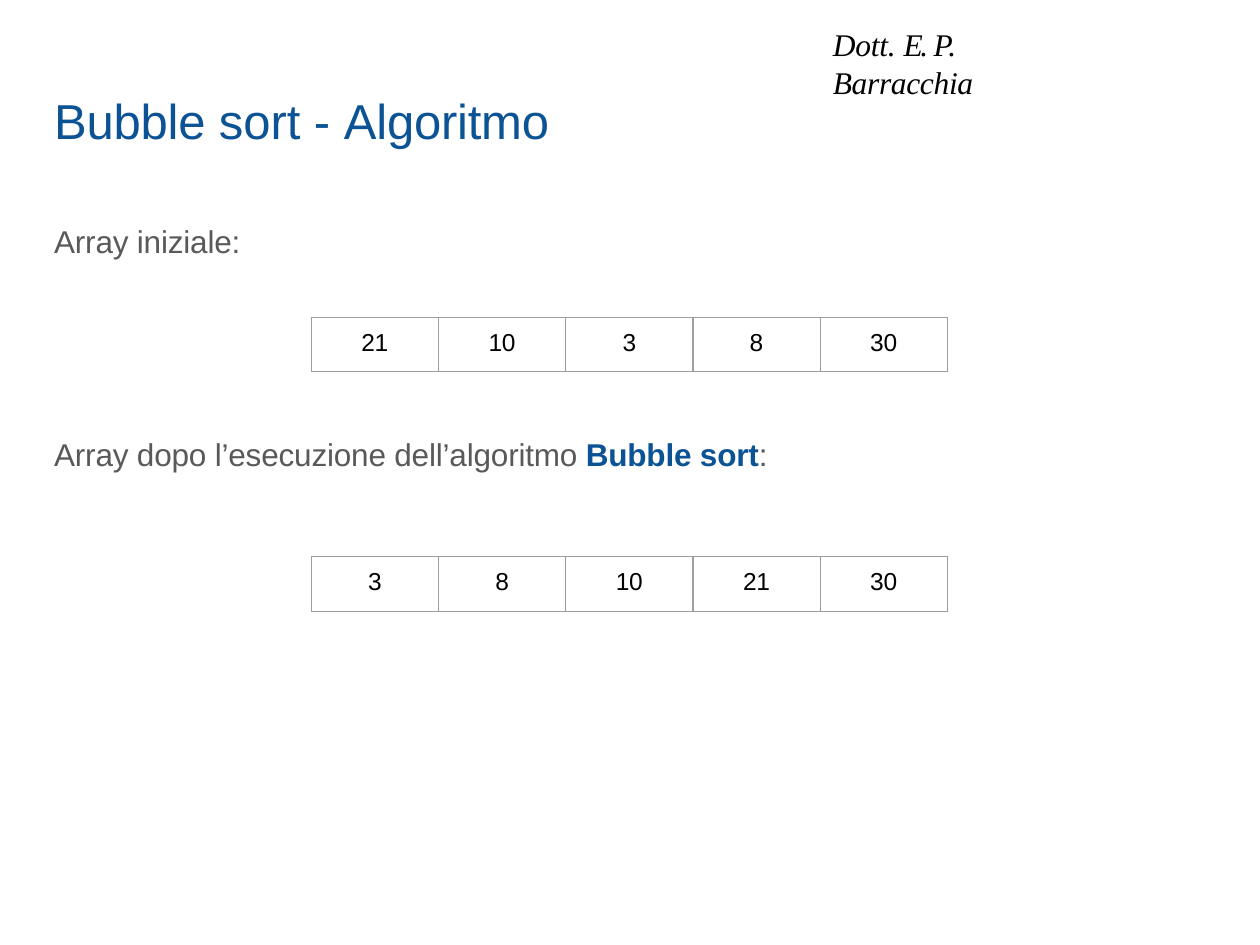
"""Build the slide that shows an array before and after bubble sort."""
import pptx
import pptx.dml.color
import pptx.enum.text
import pptx.oxml
import pptx.oxml.ns
import pptx.util
from pptx.util import Inches

BLUE, GREY, BLACK, BORDER = "0B5394", "595959", "000000", "9E9E9E"


def rgb(value):
    return pptx.dml.color.RGBColor.from_string(value)


class SlideBuilder:
    body = {"name": "Arial", "size": 18, "color": GREY}
    heading = {"name": "Arial", "size": 28, "color": BLUE}
    lecturer = {"name": "Times New Roman", "size": 18, "color": BLACK, "italic": True}
    value = {"name": "Arial", "size": 14, "color": BLACK}

    def __init__(self, slide):
        self.slide = slide

    def format_run(self, run, style, tracking):
        for key, setting in style.items():
            if key == "color":
                run.font.color.rgb = rgb(setting)
            elif key == "size":
                run.font.size = pptx.util.Pt(setting)
            else:
                setattr(run.font, key, setting)
        run._r.get_or_add_rPr().set("spc", str(round(tracking * 100)))

    def fill_text(self, frame, parts, style, indent=0.01):
        settings = {
            "word_wrap": True,
            "auto_size": pptx.enum.text.MSO_AUTO_SIZE.SHAPE_TO_FIT_TEXT,
            "vertical_anchor": pptx.enum.text.MSO_ANCHOR.TOP,
            "margin_left": 0,
            "margin_top": Inches(0.01),
            "margin_right": 0,
            "margin_bottom": 0,
        }
        for key, setting in settings.items():
            setattr(frame, key, setting)
        paragraph = frame.paragraphs[0]
        paragraph.alignment = pptx.enum.text.PP_ALIGN.LEFT
        properties = paragraph._p.get_or_add_pPr()
        properties.set("marL", str(Inches(indent)))
        properties.set("indent", "0")
        for text, tracking, changes in parts:
            run = paragraph.add_run()
            run.text = text
            self.format_run(run, {**style, **changes}, tracking)

    def title(self, left, top, width, height, parts, style, indent):
        holder = self.slide.shapes.title
        holder.left, holder.top = Inches(left), Inches(top)
        holder.width, holder.height = Inches(width), Inches(height)
        self.fill_text(holder.text_frame, parts, style, indent)

    def text(self, left, top, width, height, parts, style):
        box = self.slide.shapes.add_textbox(
            Inches(left), Inches(top), Inches(width), Inches(height))
        self.fill_text(box.text_frame, parts, style)

    def border(self, cell):
        properties = cell._tc.get_or_add_tcPr()
        namespace = pptx.oxml.ns.nsdecls("a")
        for position, side in enumerate(("lnL", "lnR", "lnT", "lnB")):
            line = pptx.oxml.parse_xml(
                f'<a:{side} {namespace} w="{pptx.util.Pt(0.75)}"><a:solidFill>'
                f'<a:srgbClr val="{BORDER}"/></a:solidFill></a:{side}>')
            properties.insert(position, line)

    def array(self, top, values, left=2.47, cell_width=1.01, height=0.43):
        table = self.slide.shapes.add_table(
            1, len(values), Inches(left), Inches(top),
            Inches(cell_width * len(values)), Inches(height)).table
        table.first_row = table.horz_banding = False
        for column, number in enumerate(values):
            table.columns[column].width = Inches(cell_width)
            cell = table.cell(0, column)
            cell.margin_left = cell.margin_right = cell.margin_bottom = 0
            cell.margin_top = Inches(0.09)
            cell.fill.background()
            self.border(cell)
            paragraph = cell.text_frame.paragraphs[0]
            paragraph.alignment = pptx.enum.text.PP_ALIGN.CENTER
            run = paragraph.add_run()
            run.text = str(number)
            self.format_run(run, self.value, -0.1 if number > 9 else 0)


def main():
    deck = pptx.Presentation()
    deck.slide_width, deck.slide_height = Inches(10), Inches(7.5)
    builder = SlideBuilder(deck.slides.add_slide(deck.slide_layouts[5]))
    numbers = [21, 10, 3, 8, 30]

    builder.title(1.53, 0.19, 6.94, 0.33, [
        ("Dott. ", -0.1, {}), ("E. ", -1.4, {}),
        ("P. ", -0.3, {}), ("Barracchia", -0.2, {}),
    ], builder.lecturer, indent=5.08)
    builder.text(0.42, 1.75, 1.53, 0.33,
                 [("Array iniziale:", -0.1, {})], builder.body)
    builder.text(0.42, 3.44, 5.77, 0.33, [
        ("Array dopo l’esecuzione dell’algoritmo ", -0.1, {}),
        ("Bubble sort", -0.1, {"color": BLUE, "bold": True}),
        (":", -0.1, {}),
    ], builder.body)
    builder.array(2.52, numbers)
    builder.array(4.42, sorted(numbers))
    builder.text(0.42, 0.71, 3.97, 0.49, [
        ("Bubble ", -0.1, {}), ("sort - ", 0, {}), ("Algoritmo", -0.1, {}),
    ], builder.heading)
    deck.save("out.pptx")


if __name__ == "__main__":
    main()
